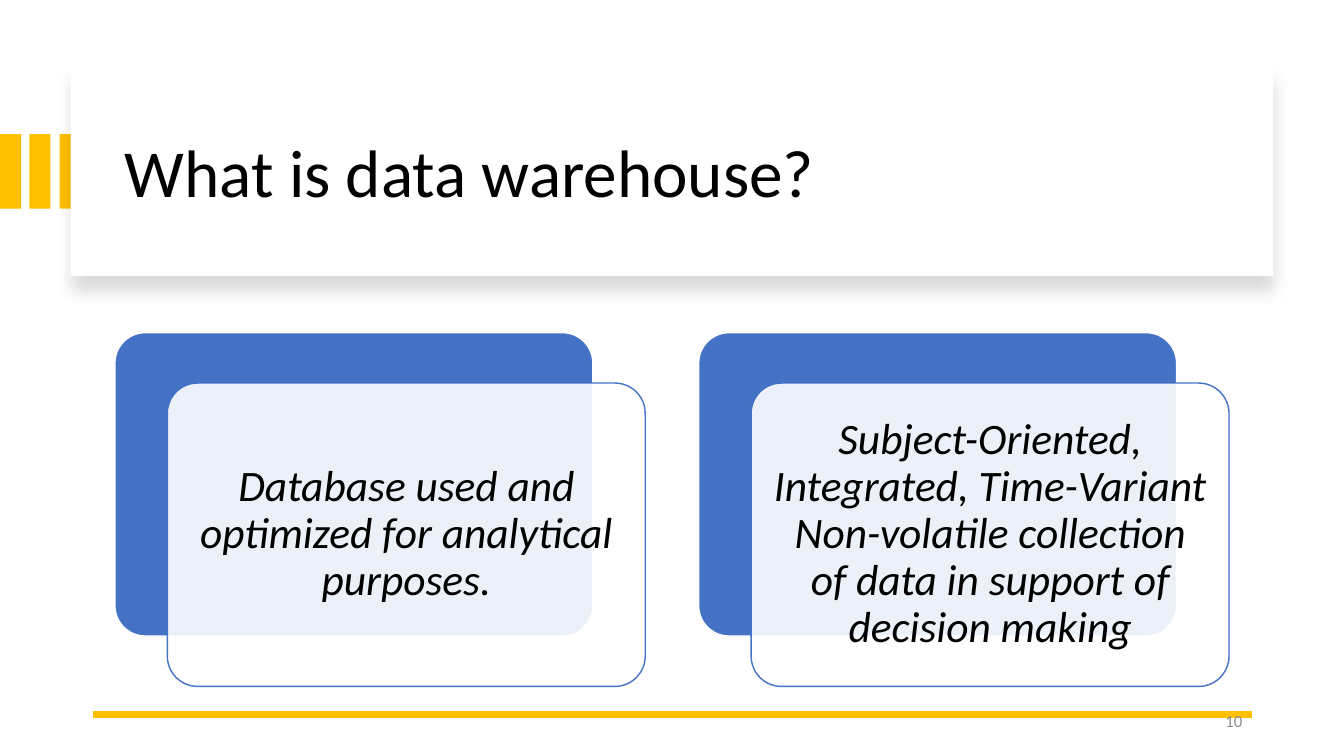
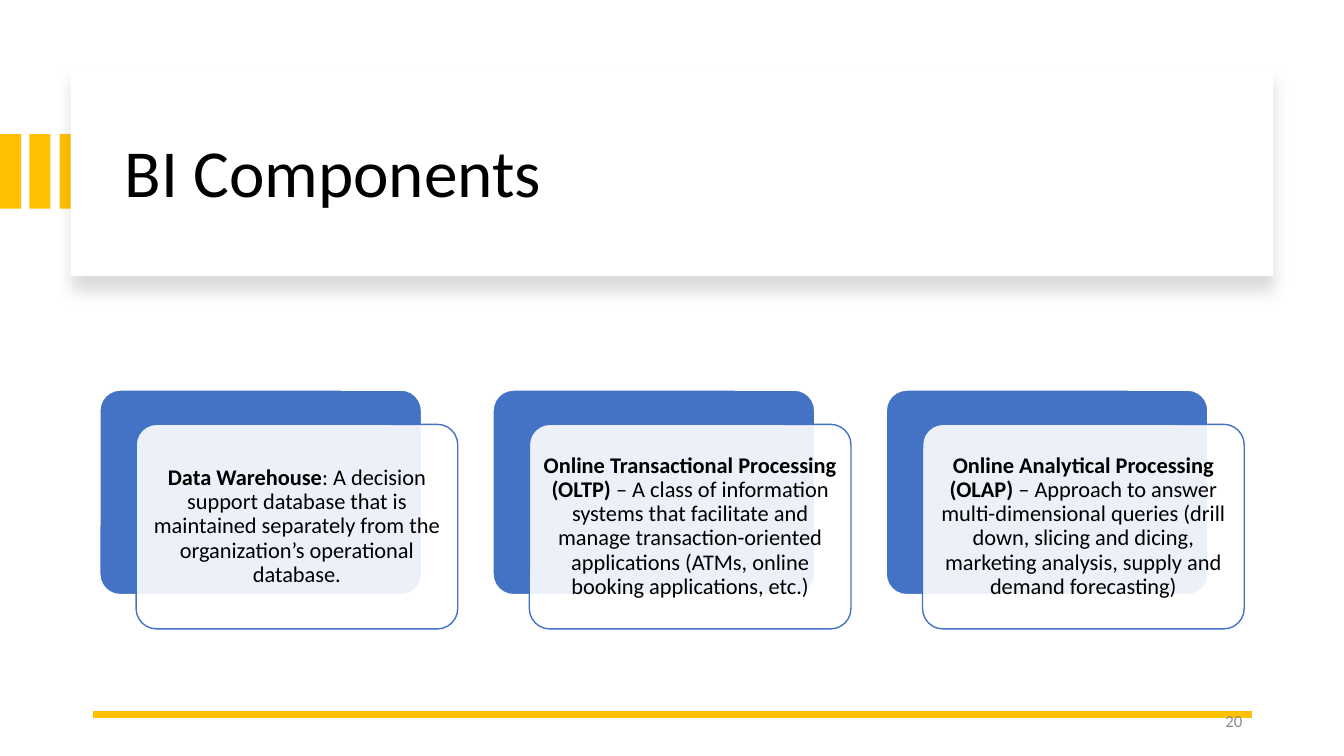
from pptx import Presentation
from pptx.dml.color import RGBColor
from pptx.enum.shapes import MSO_CONNECTOR, MSO_SHAPE
from pptx.enum.text import MSO_ANCHOR, PP_ALIGN
from pptx.oxml import parse_xml
from pptx.oxml.ns import nsdecls, qn
from pptx.util import Inches, Pt
from lxml import etree

RECT, ROUND = MSO_SHAPE.RECTANGLE, MSO_SHAPE.ROUNDED_RECTANGLE
LINE = MSO_CONNECTOR.STRAIGHT
MIDDLE = MSO_ANCHOR.MIDDLE
LEFT, CENTER, RIGHT = PP_ALIGN.LEFT, PP_ALIGN.CENTER, PP_ALIGN.RIGHT
FONT = "Calibri"
COLORS = {"gold": "FFC000", "blue": "4472C4", "white": "FFFFFF", "black": "000000", "gray": "8C8C8C"}
SHADOW = (
    f'<a:effectLst {nsdecls("a")}><a:outerShdw blurRad="{Pt(11)}" dist="{Pt(10)}" dir="5400000">'
    f'<a:srgbClr val="{COLORS["black"]}"><a:alpha val="15000"/></a:srgbClr></a:outerShdw></a:effectLst>'
)


def add_box(slide, kind, x, y, w, h, fill, line=None):
    box = slide.shapes.add_shape(kind, Inches(x), Inches(y), Inches(w), Inches(h))
    box.shadow.inherit = False
    box.fill.solid()
    box.fill.fore_color.rgb = RGBColor.from_string(COLORS[fill])
    if line:
        box.line.color.rgb = RGBColor.from_string(COLORS[line])
        box.line.width = Pt(1)
    else:
        box.line.fill.background()
    if kind == ROUND:
        box.adjustments[0] = 0.1
    return box


def set_text(shape, runs, size, color="black", align=LEFT, pad=(0.1, 0.05), space=0.9):
    frame = shape.text_frame
    frame.word_wrap = True
    frame.vertical_anchor = MIDDLE
    frame.margin_left = frame.margin_right = Inches(pad[0])
    frame.margin_top = frame.margin_bottom = Inches(pad[1])
    para = frame.paragraphs[0]
    para.alignment = align
    para.line_spacing = space
    for text, style in runs:
        run = para.add_run()
        run.text = text
        run.font.name = FONT
        run.font.size = Pt(size)
        run.font.color.rgb = RGBColor.from_string(COLORS[color])
        run.font.bold = style == "bold"
        run.font.italic = style == "italic"


pages = [
    {
        "title": "What is data warehouse?", "number": "10",
        "left": 1.14, "top": 3.3, "width": 4.74, "height": 3.01,
        "pitch": 5.79, "shift": (0.52, 0.5), "size": 31, "pad": 0.13,
        "cards": [
            [("Database used and optimized for analytical purposes.", "italic")],
            [("Subject-Oriented, Integrated, Time-Variant Non-volatile collection "
              "of data in support of decision making", "italic")],
        ],
    },
    {
        "title": "BI Components", "number": "20",
        "left": 0.99, "top": 3.87, "width": 3.19, "height": 2.03,
        "pitch": 3.9, "shift": (0.36, 0.34), "size": 16, "pad": 0.07,
        "cards": [
            [("Data Warehouse", "bold"),
             (": A decision support database that is maintained separately from "
              "the organization’s operational database.", "plain")],
            [("Online Transactional Processing (OLTP)", "bold"),
             (" – A class of information systems that facilitate and manage "
              "transaction-oriented applications (ATMs, online booking applications, etc.)", "plain")],
            [("Online Analytical Processing (OLAP)", "bold"),
             (" – Approach to answer multi-dimensional queries (drill down, slicing and dicing, "
              "marketing analysis, supply and demand forecasting)", "plain")],
        ],
    },
]

deck = Presentation()
deck.slide_width, deck.slide_height = Inches(13.33), Inches(7.5)

for page in pages:
    slide = deck.slides.add_slide(deck.slide_layouts[6])

    for x in (0, 0.29, 0.59):
        add_box(slide, RECT, x, 1.33, 0.21, 0.74, "gold")
    band = add_box(slide, RECT, 0.7, 0.67, 11.93, 2.07, "white")
    props = band._element.spPr
    props.replace(props.find(qn("a:effectLst")), parse_xml(SHADOW))

    title = slide.shapes.add_textbox(Inches(1.14), Inches(0.89), Inches(11.13), Inches(1.7))
    set_text(title, [(page["title"], "plain")], 48)

    rule = slide.shapes.add_connector(LINE, Inches(0.92), Inches(7.09), Inches(12.42), Inches(7.09))
    rule.line.color.rgb = RGBColor.from_string(COLORS["gold"])
    rule.line.width = Pt(4.5)
    etree.SubElement(rule._element.spPr, qn("a:effectLst"))

    dx, dy = page["shift"]
    y, w, h = page["top"], page["width"], page["height"]
    for i, runs in enumerate(page["cards"]):
        x = page["left"] + i * page["pitch"]
        add_box(slide, ROUND, x, y, w, h, "blue", "white")
        panel = add_box(slide, ROUND, x + dx, y + dy, w, h, "white", "blue")
        tint = panel._element.spPr.find(qn("a:solidFill"))[0]
        etree.SubElement(tint, qn("a:alpha"), val="90000")
        set_text(panel, runs, page["size"], align=CENTER, pad=(page["pad"], page["pad"]))

    number = slide.shapes.add_textbox(Inches(9.42), Inches(6.95), Inches(3), Inches(0.4))
    set_text(number, [(page["number"], "plain")], 12, color="gray", align=RIGHT, space=1.0)

deck.save("out.pptx")
